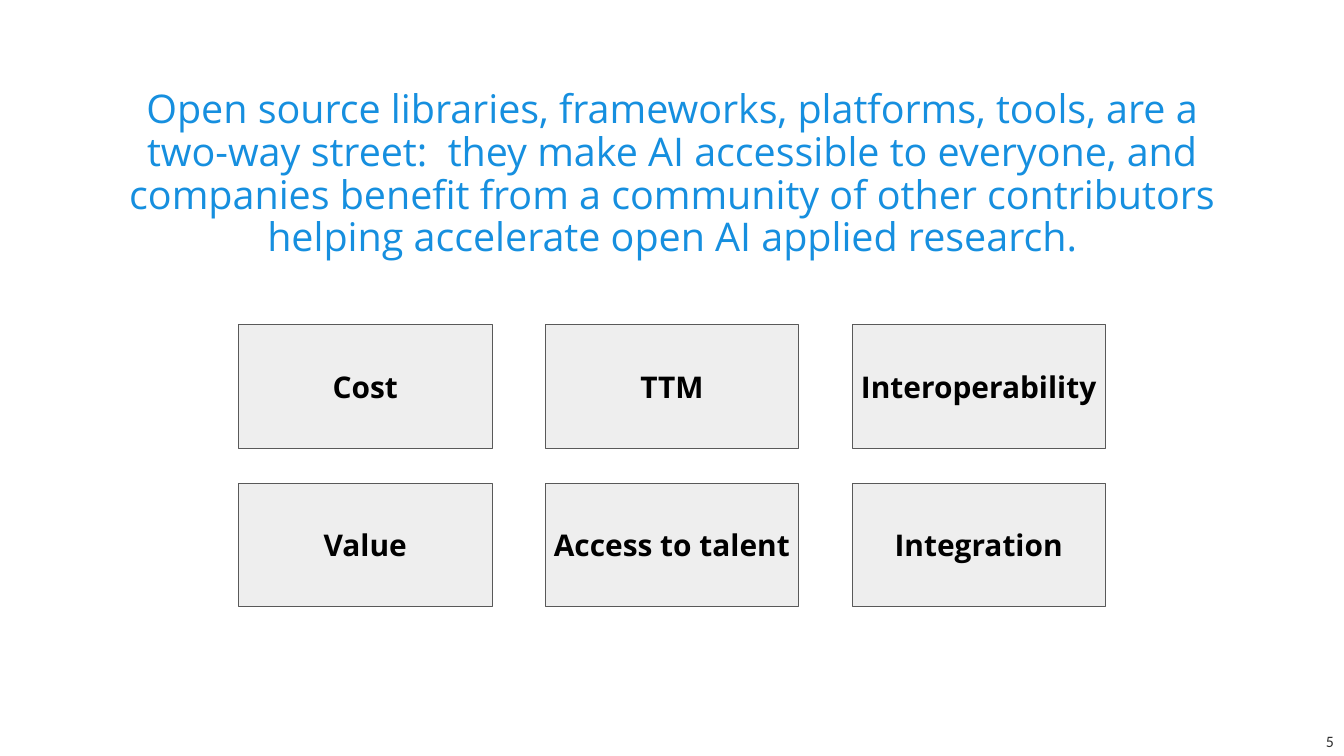
from pptx import Presentation
from pptx.dml.color import RGBColor
from pptx.enum import shapes, text
from pptx.util import Inches, Pt

BENEFITS = [
    ["Cost", "TTM", "Interoperability"],
    ["Value", "Access to talent", "Integration"],
]


def colour(hex_code):
    return RGBColor.from_string(hex_code)


def write(shape, words, size, color, font="Open Sans", bold=False,
          align=text.PP_ALIGN.CENTER, spacing=1.0, margins=(0.15, 0.07)):
    frame = shape.text_frame
    frame.word_wrap = True
    frame.auto_size = text.MSO_AUTO_SIZE.NONE
    frame.vertical_anchor = text.MSO_ANCHOR.MIDDLE
    frame.margin_left = frame.margin_right = Inches(margins[0])
    frame.margin_top = frame.margin_bottom = Inches(margins[1])
    para = frame.paragraphs[0]
    para.alignment = align
    para.line_spacing = spacing
    para.space_before = Pt(0)
    span = para.add_run()
    span.text = words
    span.font.name = font
    span.font.size = Pt(size)
    span.font.bold = bold
    span.font.color.rgb = colour(color)


def add_title(page, left, top, width, height):
    title = page.shapes.title
    title.left, title.top = Inches(left), Inches(top)
    title.width, title.height = Inches(width), Inches(height)
    write(title,
          "Open source libraries, frameworks, platforms, tools, are a "
          "two-way street:  they make AI accessible to everyone, and "
          "companies benefit from a community of other contributors "
          "helping accelerate open AI applied research.",
          42.3, "168FDF", spacing=0.9)


def add_page_number(page, left, top, width, height):
    box = page.shapes.add_textbox(Inches(left), Inches(top),
                                  Inches(width), Inches(height))
    write(box, "5", 17, "2F2F2F", font="Calibri", align=text.PP_ALIGN.RIGHT)


def add_benefit_grid(page, left, top, width, height):
    card_width, card_height = 3.77, 1.84
    # Spread the cards evenly from edge to edge
    step_x = (width - card_width) / (len(BENEFITS[0]) - 1)
    step_y = (height - card_height) / (len(BENEFITS) - 1)
    for row, labels in enumerate(BENEFITS):
        for column, label in enumerate(labels):
            card = page.shapes.add_shape(
                shapes.MSO_SHAPE.RECTANGLE,
                Inches(left + column * step_x), Inches(top + row * step_y),
                Inches(card_width), Inches(card_height))
            card.shadow.inherit = False
            card.fill.solid()
            card.fill.fore_color.rgb = colour("EEEEEE")
            card.line.color.rgb = colour("595959")
            card.line.width = Pt(0.75)
            write(card, label, 32, "000000", bold=True, margins=(0.1, 0.1))


def main():
    deck = Presentation()
    deck.slide_width, deck.slide_height = Inches(20), Inches(11.25)
    page = deck.slides.add_slide(deck.slide_layouts[5])  # title only

    add_title(page, 1.38, 1.52, 17.25, 2.17)
    add_page_number(page, 19.4, 10.8, 0.6, 0.45)
    add_benefit_grid(page, 3.55, 4.83, 12.9, 4.2)

    deck.save("out.pptx")


if __name__ == "__main__":
    main()
